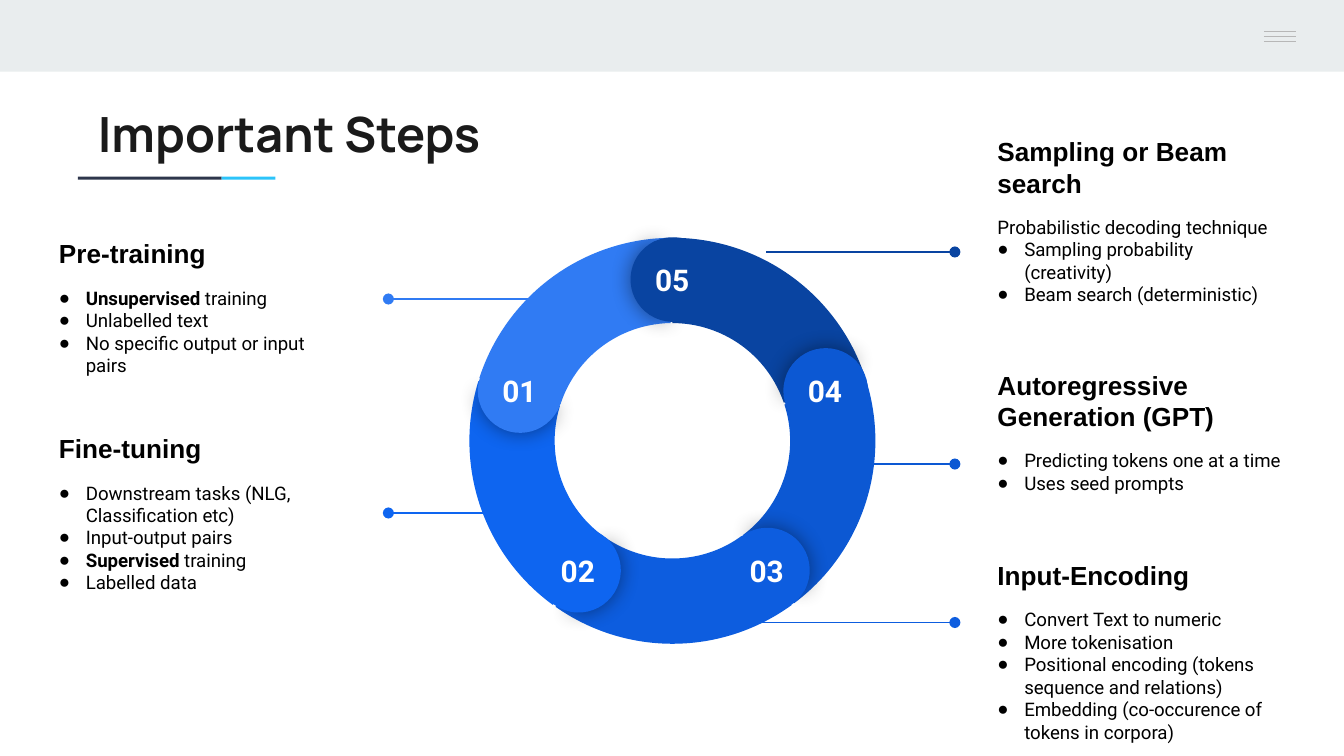
import math

from lxml import etree
from pptx import Presentation
from pptx import util as u
from pptx.dml.color import RGBColor
from pptx.enum import shapes, text
from pptx.oxml import ns

# The slide is a grid of square cells, 100 columns wide and 56.25 rows high.
COLUMNS, ROWS = 100, 56.25
CELL = u.Inches(0.1)
BLACK, WHITE, BAND, RULE = "000000", "FFFFFF", "E9EDEE", "B7B7B7"

# Ring geometry, in cells and degrees
RING_CENTRE, CAP_CENTRE = (50.03, 32.8), (50.07, 32.75)
RING_SIZE, CAP_SIZE, CAP_ORBIT = 30.2, 6.3, 11.95
STEP_ANGLE = 72
ARC_SHAPE = (126.03, 168.68, 0.21)
CAP_EDGE, CAP_COVER = (61.9, 149.96), (40.28, 171.84)

# Segments clockwise from the top
SEGMENTS = [("05", "0944A1"), ("04", "0C58D3"), ("03", "0D5DDF"),
            ("02", "0E65F0"), ("01", "307BF3")]

# Callout lines: row, column at the ring, column at the dot, colour
LEFT_DOT, RIGHT_DOT = 28.9, 71.05
CALLOUTS = [(22.25, 42.3, LEFT_DOT, "307BF3"), (38.17, 39.1, LEFT_DOT, "0E65F0"),
            (46.32, 50.9, RIGHT_DOT, "0D5DDF"), (18.75, 57, RIGHT_DOT, "0944A1"),
            (34.53, 61.4, RIGHT_DOT, "0C58D3")]

# Step texts: column, row, bottom inset, heading, lead line, bullets of (text, bold) runs
LEFT_TEXT, RIGHT_TEXT = 3.4, 73.23
STEPS = [
    (LEFT_TEXT, 17.8, 1, "Pre-training", None,
     [[("Unsupervised", True), (" training", False)],
      [("Unlabelled text", False)],
      [("No specific output or input pairs", False)]]),
    (LEFT_TEXT, 33.13, 1, "Fine-tuning", None,
     [[("Downstream tasks (NLG, Classification etc)", False)],
      [("Input-output pairs", False)],
      [("Supervised", True), (" training", False)],
      [("Labelled data", False)]]),
    (RIGHT_TEXT, 44.05, 2.3, "Input-Encoding", None,
     [[("Convert Text to numeric", False)],
      [("More tokenisation", False)],
      [("Positional encoding (tokens sequence and relations)", False)],
      [("Embedding (co-occurence of tokens in corpora)", False)]]),
    (RIGHT_TEXT, 11.35, 1, "Sampling or Beam search", "Probabilistic decoding technique",
     [[("Sampling probability (creativity)", False)],
      [("Beam search (deterministic)", False)]]),
    (RIGHT_TEXT, 27.7, 2.3, "Autoregressive Generation (GPT)", None,
     [[("Predicting tokens one at a time", False)],
      [("Uses seed prompts", False)]]),
]


def cells(count):
    return u.Emu(round(count * CELL))


def colour(value):
    return RGBColor.from_string(value)


def add_xml(parent, tag, **attributes):
    return etree.SubElement(parent, ns.qn(tag), attributes)


def add_filled(slide, kind, box, fill, adjustments=(), rotation=0):
    shape = slide.shapes.add_shape(kind, *map(cells, box))
    shape.shadow.inherit = False
    shape.fill.solid()
    shape.fill.fore_color.rgb = colour(fill)
    shape.line.fill.background()
    shape.rotation = rotation
    for index, value in enumerate(adjustments):
        shape.adjustments[index] = value
    return shape


def add_line(slide, row, start, end, line_colour, dot=False):
    """Draw a horizontal line, with a round dot at its end if asked."""
    line = slide.shapes.add_connector(
        shapes.MSO_CONNECTOR.STRAIGHT, cells(start), cells(row), cells(end), cells(row))
    line.line.color.rgb = colour(line_colour)
    line.line.width = u.Pt(0.75)
    if dot:
        add_xml(line.line._get_or_add_ln(), "a:tailEnd", type="oval")
    add_xml(line._element.spPr, "a:effectLst")


def add_text_frame(slide, box, bottom=1, anchor=text.MSO_ANCHOR.TOP):
    frame = slide.shapes.add_textbox(*map(cells, box)).text_frame
    frame.word_wrap = True
    frame.vertical_anchor = anchor
    frame.margin_left = frame.margin_right = frame.margin_top = cells(1)
    frame.margin_bottom = cells(bottom)
    return frame


def add_run(paragraph, words, font, size, bold=False, fill=BLACK):
    run = paragraph.add_run()
    run.text = words
    run.font.name = font
    run.font.size = u.Pt(size)
    run.font.bold = bold
    run.font.color.rgb = colour(fill)


def add_bullet(paragraph):
    properties = paragraph._p.get_or_add_pPr()
    properties.set("marL", str(cells(2)))
    properties.set("indent", str(-cells(2)))
    add_xml(add_xml(properties, "a:buClr"), "a:srgbClr", val=BLACK)
    add_xml(properties, "a:buFont", typeface="Arial")
    add_xml(properties, "a:buChar", char="●")


def add_step(slide, column, row, bottom, heading, lead, bullets):
    frame = add_text_frame(slide, (column, row, 23.2, 10.1), bottom, text.MSO_ANCHOR.MIDDLE)
    add_run(frame.paragraphs[0], heading, "Arial", 14, True)
    body = [[(lead, False)]] if lead else []
    for index, runs in enumerate(body + bullets):
        paragraph = frame.add_paragraph()
        if index >= len(body):
            add_bullet(paragraph)
        if index == 0:
            paragraph.space_before = u.Pt(9.3)
        for words, bold in runs:
            add_run(paragraph, words, "Roboto", 10, bold)


def add_soft_shadow(shape):
    effects = shape._element.spPr.find(ns.qn("a:effectLst"))
    shadow = add_xml(effects, "a:outerShdw", blurRad=str(u.Pt(11.2)), dist="0",
                     dir="0", algn="bl", rotWithShape="0")
    add_xml(add_xml(shadow, "a:srgbClr", val=BLACK), "a:alpha", val="43000")


def centred_box(centre, size):
    return centre[0] - size / 2, centre[1] - size / 2, size, size


def add_cap(slide, index, number, fill):
    """Round off the start of a segment and number it."""
    angle = math.radians(index * STEP_ANGLE - 90)
    centre = (CAP_CENTRE[0] + CAP_ORBIT * math.cos(angle),
              CAP_CENTRE[1] + CAP_ORBIT * math.sin(angle))
    box, turn = centred_box(centre, CAP_SIZE), index * STEP_ANGLE - 4
    kind = shapes.MSO_SHAPE.PIE
    add_soft_shadow(add_filled(slide, kind, box, fill, CAP_EDGE, turn % 360))
    add_filled(slide, kind, box, fill, CAP_COVER, (turn + 179.3) % 360)
    frame = add_text_frame(slide, (centre[0] - 2.85, centre[1] - 2.3, 5.6, 2.9))
    frame.paragraphs[0].alignment = text.PP_ALIGN.CENTER
    add_run(frame.paragraphs[0], number, "Roboto", 16, True, WHITE)


def add_ring(slide):
    box = centred_box(RING_CENTRE, RING_SIZE)
    for index, (_, fill) in enumerate(SEGMENTS):
        add_filled(slide, shapes.MSO_SHAPE.BLOCK_ARC, box, fill, ARC_SHAPE,
                   (60 + index * STEP_ANGLE) % 360)
    for index, (number, fill) in enumerate(SEGMENTS):
        add_cap(slide, index, number, fill)


def add_header(slide):
    rectangle = shapes.MSO_SHAPE.RECTANGLE
    add_filled(slide, rectangle, (0, 0, COLUMNS, 5.33), BAND)
    for row in (2.35, 2.72, 3.09):
        add_line(slide, row, 94.05, 96.4, RULE)
    add_filled(slide, rectangle, (5.8, 13.15, 10.7, 0.22), "2E364C")
    add_filled(slide, rectangle, (16.5, 13.15, 4, 0.22), "2CC4FA")
    frame = add_text_frame(slide, (6.3, 6.7, 84.1, 5.9))
    add_run(frame.paragraphs[0], "Important Steps", "Manrope", 26, True, "1A1A1A")


def main():
    presentation = Presentation()
    presentation.slide_width = cells(COLUMNS)
    presentation.slide_height = cells(ROWS)
    slide = presentation.slides.add_slide(presentation.slide_layouts[6])
    add_header(slide)
    for callout in CALLOUTS:
        add_line(slide, *callout, dot=True)
    for step in STEPS:
        add_step(slide, *step)
    add_ring(slide)
    presentation.save("out.pptx")


if __name__ == "__main__":
    main()
